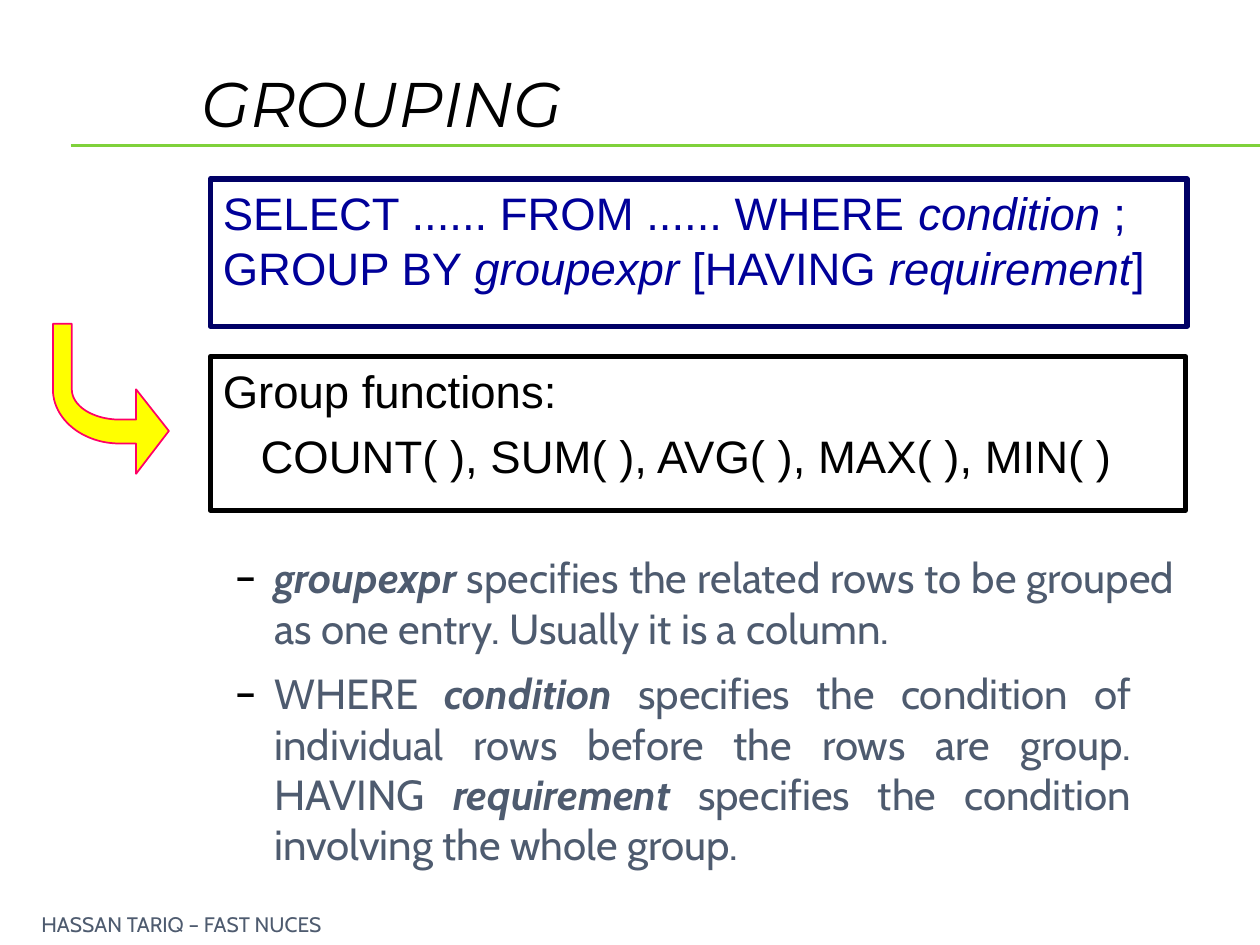
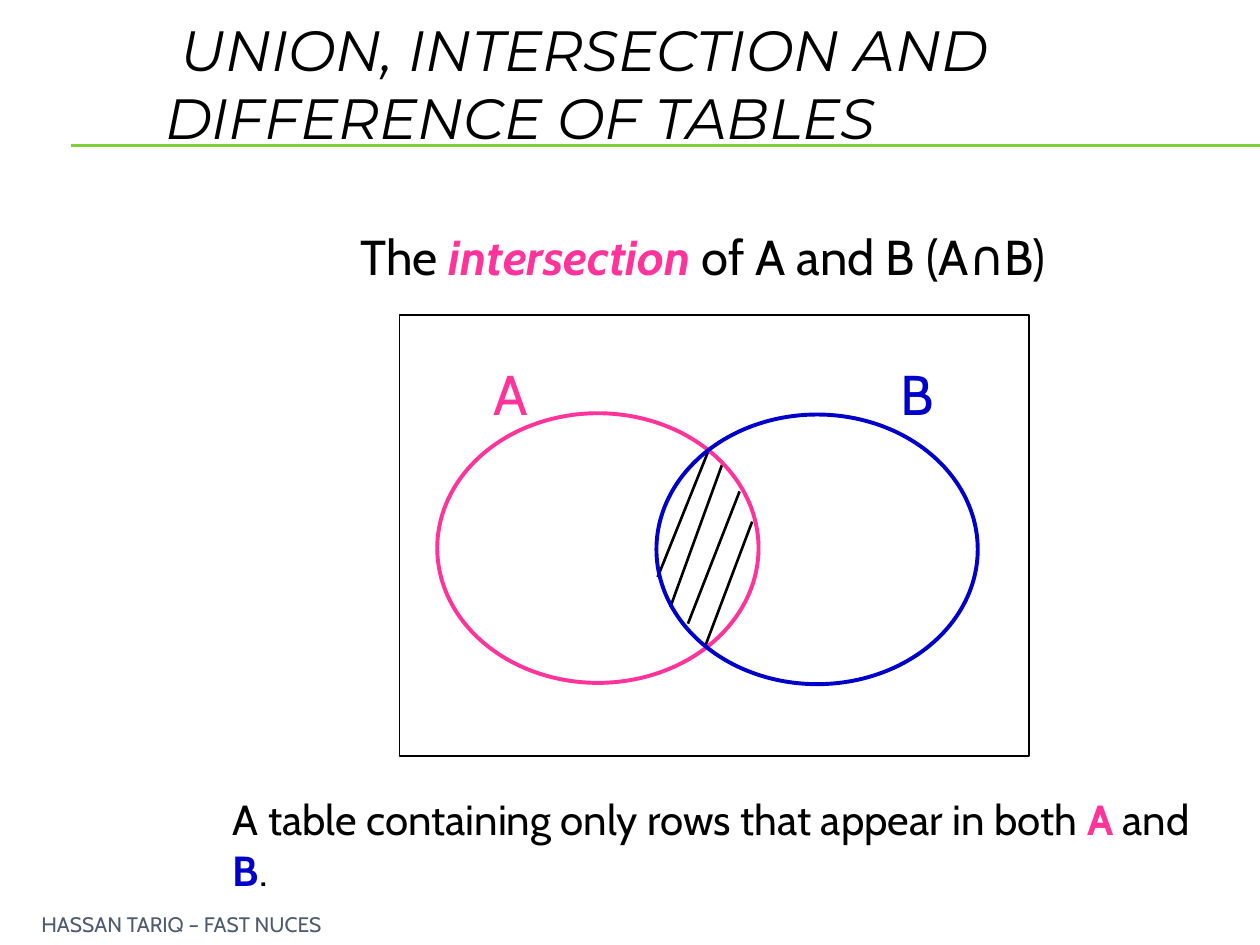
"""Build two slides on SQL grouping and the intersection of tables."""
import math
from dataclasses import dataclass

from lxml import etree
from pptx import Presentation
from pptx import util as u
from pptx.dml.color import RGBColor
from pptx.enum import shapes, text
from pptx.oxml import ns

BLACK, GREEN, SLATE = "000000", "7FD13B", "4E5B6F"
NAVY, CODE_BLUE = "000066", "000099"
PINK, BLUE = "FF3399", "0000CC"
YELLOW, MAGENTA = "FFFF00", "FF0066"
LEFT, CENTER, JUSTIFY = text.PP_ALIGN.LEFT, text.PP_ALIGN.CENTER, text.PP_ALIGN.JUSTIFY
TOP, MIDDLE, BOTTOM = text.MSO_ANCHOR.TOP, text.MSO_ANCHOR.MIDDLE, text.MSO_ANCHOR.BOTTOM
RECTANGLE, OVAL = shapes.MSO_SHAPE.RECTANGLE, shapes.MSO_SHAPE.OVAL


@dataclass(frozen=True)
class Area:
    """Left, top, width and height in inches."""
    left: float
    top: float
    width: float
    height: float

    def lengths(self) -> list:
        """Return the four values as slide lengths."""
        return [u.Inches(v) for v in (self.left, self.top, self.width, self.height)]


@dataclass(frozen=True)
class Style:
    """Base look of the text in one box."""
    size: float
    font: str = "Cabin"
    color: str = BLACK
    align: text.PP_ALIGN = LEFT
    anchor: text.MSO_ANCHOR = TOP
    italic: bool = False


@dataclass(frozen=True)
class Piece:
    """A stretch of text that may differ from the style of its box."""
    words: str
    color: str = ""
    bold: bool = False
    italic: bool = False


@dataclass(frozen=True)
class Line:
    """One paragraph with its indents in inches and space before in points."""
    pieces: tuple
    margin: float = 0
    indent: float = 0
    before: float = 0
    bullet: str = ""


@dataclass(frozen=True)
class Outline:
    """A preset shape with an outline and no fill."""
    kind: shapes.MSO_SHAPE
    area: Area
    color: str
    weight: float


TITLE = Style(36, "Montserrat", anchor=BOTTOM, italic=True)
LONG_TITLE = Style(32.4, "Montserrat", anchor=BOTTOM, italic=True)
FOOTER = Style(12, color=SLATE, anchor=MIDDLE)
SYNTAX = Style(26, "Arial", CODE_BLUE)
FUNCTIONS = Style(26, "Arial")
EXPLANATION = Style(24, color=SLATE, align=JUSTIFY)
HEADING = Style(28, align=CENTER)
SUMMARY = Style(24)

SYNTAX_LINES = (
    Line((Piece("SELECT ...... FROM ...... WHERE "), Piece("condition", italic=True),
          Piece(" ;")), 0.38, -0.38),
    Line((Piece("GROUP BY "), Piece("groupexpr", italic=True), Piece(" [HAVING "),
          Piece("requirement", italic=True), Piece("]")), 0.38, -0.38),
)
FUNCTION_LINES = (
    Line((Piece("Group functions:"),)),
    Line((Piece("COUNT( ), SUM( ), AVG( ), MAX( ), MIN( )"),), margin=0.3, before=6),
)
EXPLANATIONS = (
    (Area(1.25, 4.33, 8.17, 1.17), (
        Piece("groupexpr ", bold=True, italic=True),
        Piece("specifies the related rows to be grouped as one entry. "
              "Usually it is a column."))),
    (Area(1.25, 5.25, 7.83, 1.67), (
        Piece("WHERE "), Piece("condition", bold=True, italic=True),
        Piece(" specifies the condition of individual rows before the rows are group. HAVING "),
        Piece("requirement", bold=True, italic=True),
        Piece(" specifies the condition involving the whole group."))),
)
VENN_OUTLINES = (
    Outline(RECTANGLE, Area(3.17, 2.5, 5, 3.5), BLACK, 1),
    Outline(OVAL, Area(3.47, 3.28, 2.55, 2.14), PINK, 2.25),
    Outline(OVAL, Area(5.21, 3.29, 2.55, 2.14), BLUE, 2.25),
)
HATCHING = (
    (5.97, 4.14, 5.6, 5.12), (5.87, 3.9, 5.46, 4.95),
    (5.73, 3.69, 5.32, 4.82), (5.63, 3.56, 5.22, 4.58),
)
SET_LABELS = (("A", 3.81, PINK), ("B", 7.04, BLUE))


def rgb(color: str) -> RGBColor:
    """Turn a hex string into a colour."""
    return RGBColor.from_string(color)


def assign(target, values: dict) -> None:
    """Set every attribute named in a dict."""
    for name, value in values.items():
        setattr(target, name, value)


def add_bullet(paragraph, mark: str, font: str) -> None:
    """Give a paragraph a black bullet character."""
    properties = paragraph._p.get_or_add_pPr()
    color = etree.SubElement(properties, ns.qn("a:buClr"))
    etree.SubElement(color, ns.qn("a:srgbClr"), val=BLACK)
    etree.SubElement(properties, ns.qn("a:buFont"), typeface=font)
    etree.SubElement(properties, ns.qn("a:buChar"), char=mark)


def write(shape, lines: tuple, style: Style, inset: tuple = (0.1, 0.05)) -> None:
    """Fill a shape with styled paragraphs."""
    frame = shape.text_frame
    across, down = (u.Inches(v) for v in inset)
    assign(frame, dict(word_wrap=True, auto_size=text.MSO_AUTO_SIZE.NONE,
                       vertical_anchor=style.anchor, margin_left=across,
                       margin_right=across, margin_top=down, margin_bottom=down))
    for index, line in enumerate(lines):
        paragraph = frame.add_paragraph() if index else frame.paragraphs[0]
        assign(paragraph, dict(alignment=style.align, space_before=u.Pt(line.before)))
        properties = paragraph._p.get_or_add_pPr()
        properties.set("marL", str(u.Inches(line.margin)))
        properties.set("indent", str(u.Inches(line.indent)))
        if line.bullet:
            add_bullet(paragraph, line.bullet, style.font)
        for piece in line.pieces:
            run = paragraph.add_run()
            run.text = piece.words
            assign(run.font, dict(size=u.Pt(style.size), name=style.font, bold=piece.bold,
                                  italic=piece.italic or style.italic))
            run.font.color.rgb = rgb(piece.color or style.color)


def add_text(slide, area: Area, lines: tuple, style: Style, inset: tuple = (0.1, 0.05)) -> None:
    """Add a text box."""
    write(slide.shapes.add_textbox(*area.lengths()), lines, style, inset)


def add_line(slide, ends: tuple, color: str, weight: float) -> None:
    """Draw a straight line between two points."""
    connector = slide.shapes.add_connector(
        shapes.MSO_CONNECTOR.STRAIGHT, *(u.Inches(v) for v in ends))
    connector.line.color.rgb = rgb(color)
    connector.line.width = u.Pt(weight)
    etree.SubElement(connector._element.spPr, ns.qn("a:effectLst"))


def style_shape(shape, line: str, weight: float, fill: str = "") -> None:
    """Set the outline and fill of a shape and remove its shadow."""
    shape.shadow.inherit = False
    if fill:
        shape.fill.solid()
        shape.fill.fore_color.rgb = rgb(fill)
    else:
        shape.fill.background()
    shape.line.color.rgb = rgb(line)
    shape.line.width = u.Pt(weight)


def add_outline(slide, outline: Outline):
    """Draw an unfilled preset shape and return it."""
    shape = slide.shapes.add_shape(outline.kind, *outline.area.lengths())
    style_shape(shape, outline.color, outline.weight)
    return shape


def arc(center: tuple, radii: tuple, start: int, end: int, steps: int = 24) -> list:
    """Return points along an elliptical arc, with angles in degrees."""
    angles = [math.radians(start + (end - start) * i / steps) for i in range(steps + 1)]
    return [(center[0] + radii[0] * math.cos(a), center[1] + radii[1] * math.sin(a))
            for a in angles]


def add_curved_arrow(slide) -> None:
    """Draw the arrow that turns from the syntax to the group functions."""
    bend = (0.95, 3.09)
    points = [(1.34, 3.42), (1.08, 3.76), (1.08, 3.52), *arc(bend, (0.53, 0.43), 90, 180),
              (0.42, 2.57), (0.57, 2.57), *arc(bend, (0.38, 0.24), 180, 90),
              (1.08, 3.33), (1.08, 3.09)]
    corners = [(u.Inches(x), u.Inches(y)) for x, y in points]
    builder = slide.shapes.build_freeform(*corners[0])
    builder.add_line_segments(corners[1:], close=True)
    style_shape(builder.convert_to_shape(), MAGENTA, 1, YELLOW)


def add_slide(presentation, title: str, area: Area, style: Style, indent: float = 0):
    """Add a slide with the shared rule, title and footer."""
    slide = presentation.slides.add_slide(presentation.slide_layouts[5])
    for height in (1.15, 1.16):
        add_line(slide, (0.56, height, 10, height), GREEN, 0.75)
    heading = slide.shapes.title
    assign(heading, dict(zip(("left", "top", "width", "height"), area.lengths())))
    write(heading, (Line((Piece(title),), indent=indent),), style)
    add_text(slide, Area(0.23, 7.25, 6.69, 0.17),
             (Line((Piece("HASSAN TARIQ – FAST NUCES"),)),), FOOTER)
    return slide


def build_grouping(presentation) -> None:
    """Build the slide on grouping."""
    slide = add_slide(presentation, "GROUPING", Area(1.5, 0.33, 8.5, 0.83), TITLE)
    syntax = add_outline(slide, Outline(RECTANGLE, Area(1.67, 1.42, 7.75, 1.17), NAVY, 3))
    write(syntax, SYNTAX_LINES, SYNTAX)
    functions = add_outline(slide, Outline(RECTANGLE, Area(1.67, 2.83, 7.74, 1.22), BLACK, 3))
    write(functions, FUNCTION_LINES, FUNCTIONS)
    for area, pieces in EXPLANATIONS:
        add_text(slide, area, (Line(pieces, 0.83, -0.31, bullet="–"),), EXPLANATION)
    add_curved_arrow(slide)


def build_intersection(presentation) -> None:
    """Build the slide on the intersection of two tables."""
    slide = add_slide(presentation, "UNION, INTERSECTION AND DIFFERENCE OF TABLES",
                      Area(1.21, 0, 8.5, 1.25), LONG_TITLE, indent=0.12)
    for ends in HATCHING:
        add_line(slide, ends, BLACK, 1.5)
    add_text(slide, Area(2.58, 1.75, 6, 0.57), (Line((
        Piece("The "), Piece("intersection", PINK, True, True),
        Piece(" of A and B (A∩B)"))),), HEADING)
    add_text(slide, Area(1.75, 6.25, 8, 0.5), (Line((
        Piece("A table containing only rows that appear in both "), Piece("A ", PINK, True),
        Piece("and "), Piece("B", BLUE, True), Piece("."))),), SUMMARY)
    for outline in VENN_OUTLINES:
        add_outline(slide, outline)
    for name, left, color in SET_LABELS:
        add_text(slide, Area(left, 2.84, 0.48, 0.71), (Line((Piece(name),)),),
                 Style(32, color=color, align=CENTER), (0.01, 0.01))


def main() -> None:
    """Build and save the presentation."""
    presentation = Presentation()
    assign(presentation, dict(slide_width=u.Inches(10), slide_height=u.Inches(7.5)))
    build_grouping(presentation)
    build_intersection(presentation)
    presentation.save("out.pptx")


if __name__ == "__main__":
    main()
